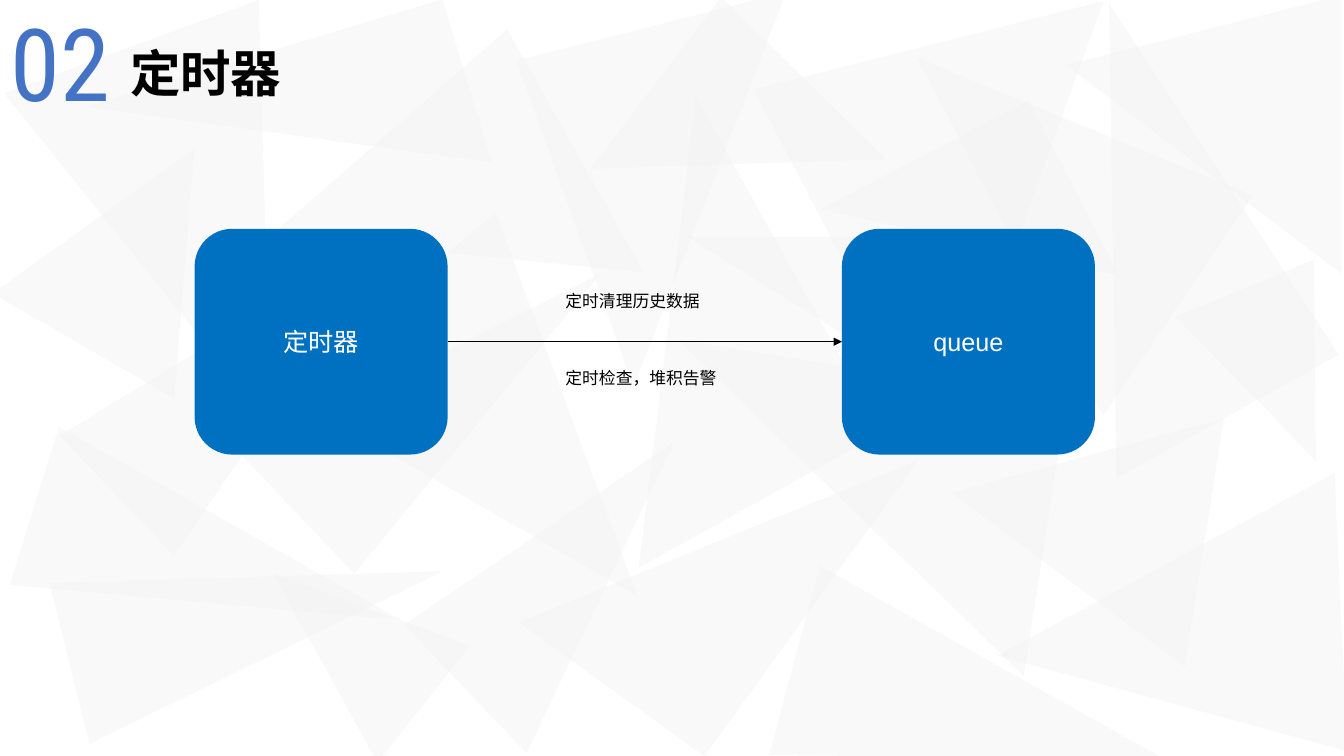
from lxml import etree
from pptx import Presentation
from pptx.dml.color import RGBColor
from pptx.enum.shapes import MSO_CONNECTOR as Line, MSO_SHAPE as Shape
from pptx.enum.text import MSO_ANCHOR as Anchor, MSO_AUTO_SIZE as Fit, PP_ALIGN as Align
from pptx.oxml.ns import qn
from pptx.util import Inches, Pt

COLORS = {"shard": "F2F2F2", "number": "4472C4", "text": "000000",
          "box": "0070C0", "label": "FFFFFF"}
NUMBER, TITLE = "02", "定时器"
BOXES = [("定时器", 1.93), ("queue", 8.35)]
BOX_TOP, BOX_W, BOX_H = 2.27, 2.51, 2.24
NOTES = [("定时清理历史数据", 2.84), ("定时检查，堆积告警", 3.6)]
SHARDS = [
    (1.34, 3.68, 1.64, 3.81, 107.3, 0.5),
    (1.72, 4.22, 1.64, 3.81, 76.1, 0.5),
    (0.65, 0.34, 2.69, 4, 159.8, 0.5),
    (1.72, 1.7, 1.64, 3.81, 46.5, 0.5),
    (4.89, 4.15, 1.76, 3.18, 46.5, 0.3),
    (3.71, 2.55, 2.76, 3.81, 139.8, 0.5),
    (9.44, 3.91, 2.49, 2.55, 278.9, 0.54),
    (7.06, 3.09, 2.76, 3.9, 278.9, 1),
    (5.99, 3.56, 2.27, 3.62, 35.8, 1),
    (9.91, 0.24, 2.52, 4.15, 331, 0.88),
    (5.24, 1.39, 2.76, 3.81, 331, 1),
    (6.08, 0.47, 2.29, 2.12, 224.6, 0.88),
    (7.9, 0.39, 3.58, 3.91, 165.8, 0.74),
    (5.5, 0.21, 2.76, 3.42, 165.8, 0.88),
    (3, 0.72, 2.76, 3.04, 240.7, 0.77),
    (10.21, 4.44, 2.76, 3.42, 267.4, 0.4),
    (7.29, 1.88, 1.56, 2.5, 270, 1),
    (-0.35, 1.7, 2.48, 1.88, 274.6, 0.36),
    (2.02, -0.51, 1.69, 3.69, 253.2, 1),
    (10.56, -0.03, 2.76, 2.73, 270, 0.75),
    (3.51, 1.88, 1.64, 3.81, 46.5, 0.71),
    (8.75, 5.14, 1.94, 3.81, 105, 0.5),
    (11.96, 2.79, 1.48, 1.85, 157.6, 0.5),
    (2.69, 5.39, 1.48, 1.97, 308.3, 0.56),
    (8.91, 0.29, 2.64, 3.51, 304.2, 0.72),
    (8.46, 1.43, 2.32, 1.95, 152.5, 0),
]


def color(name):
    return RGBColor.from_string(COLORS[name])


def add_solid(shapes, kind, at, name):
    shape = shapes.add_shape(kind, *map(Inches, at))
    shape.shadow.inherit = False
    shape.fill.solid()
    shape.fill.fore_color.rgb = color(name)
    shape.line.fill.background()
    return shape


def set_text(shape, text, size, name, align=Align.LEFT, anchor=Anchor.TOP,
             font="Arial", wrap=True, inset=None):
    frame = shape.text_frame
    frame.text = text
    frame.auto_size = Fit.NONE
    frame.word_wrap = wrap
    frame.vertical_anchor = anchor
    if inset is not None:
        frame.margin_left = frame.margin_right = Inches(inset)
        frame.margin_top = frame.margin_bottom = Inches(inset)
    para = frame.paragraphs[0]
    para.alignment = align
    para.font.name = font
    para.font.size = Pt(size)
    para.font.color.rgb = color(name)
    return para


def add_shards(slide):
    group = slide.shapes.add_group_shape()
    for *at, turn, peak in SHARDS:
        shard = add_solid(group.shapes, Shape.ISOSCELES_TRIANGLE, at, "shard")
        shard.rotation = turn
        shard.adjustments[0] = peak
        tint = shard.fill._xPr.find(qn("a:solidFill"))[0]
        etree.SubElement(tint, qn("a:alpha"), val="42000")
    slide.shapes._spTree.insert(2, group._element)


def add_heading(slide):
    number = slide.shapes.add_textbox(0, Inches(0.01), Inches(1.2), Inches(1.2))
    set_text(number, NUMBER, 72, "number", Align.CENTER, Anchor.MIDDLE,
             "Roboto Condensed", False, 0)
    title = slide.shapes.title
    title.left, title.top = Inches(1.29), Inches(0.36)
    title.width, title.height = Inches(3.45), Inches(0.8)
    para = set_text(title, TITLE, 36, "text", wrap=False, inset=0)
    para.font.bold = True
    para.line_spacing = 1.1


def add_flow(slide):
    boxes = []
    for text, left in BOXES:
        box = add_solid(slide.shapes, Shape.ROUNDED_RECTANGLE,
                        (left, BOX_TOP, BOX_W, BOX_H), "box")
        set_text(box, text, 18, "label", Align.CENTER, Anchor.MIDDLE)
        boxes.append(box)
    arrow = slide.shapes.add_connector(Line.STRAIGHT, 0, 0, 0, 0)
    arrow.begin_connect(boxes[0], 3)
    arrow.end_connect(boxes[1], 1)
    arrow.line.color.rgb = color("text")
    arrow.line.width = Pt(0.5)
    etree.SubElement(arrow.line._get_or_add_ln(), qn("a:tailEnd"), type="triangle")
    etree.SubElement(arrow._element.spPr, qn("a:effectLst"))
    for text, top in NOTES:
        note = slide.shapes.add_textbox(Inches(5.51), Inches(top), Inches(1.77), Inches(0.3))
        set_text(note, text, 12, "text")


def main():
    deck = Presentation()
    deck.slide_width, deck.slide_height = Inches(13.33), Inches(7.5)
    slide = deck.slides.add_slide(deck.slide_layouts[5])
    add_shards(slide)
    add_heading(slide)
    add_flow(slide)
    deck.save("out.pptx")


if __name__ == "__main__":
    main()
